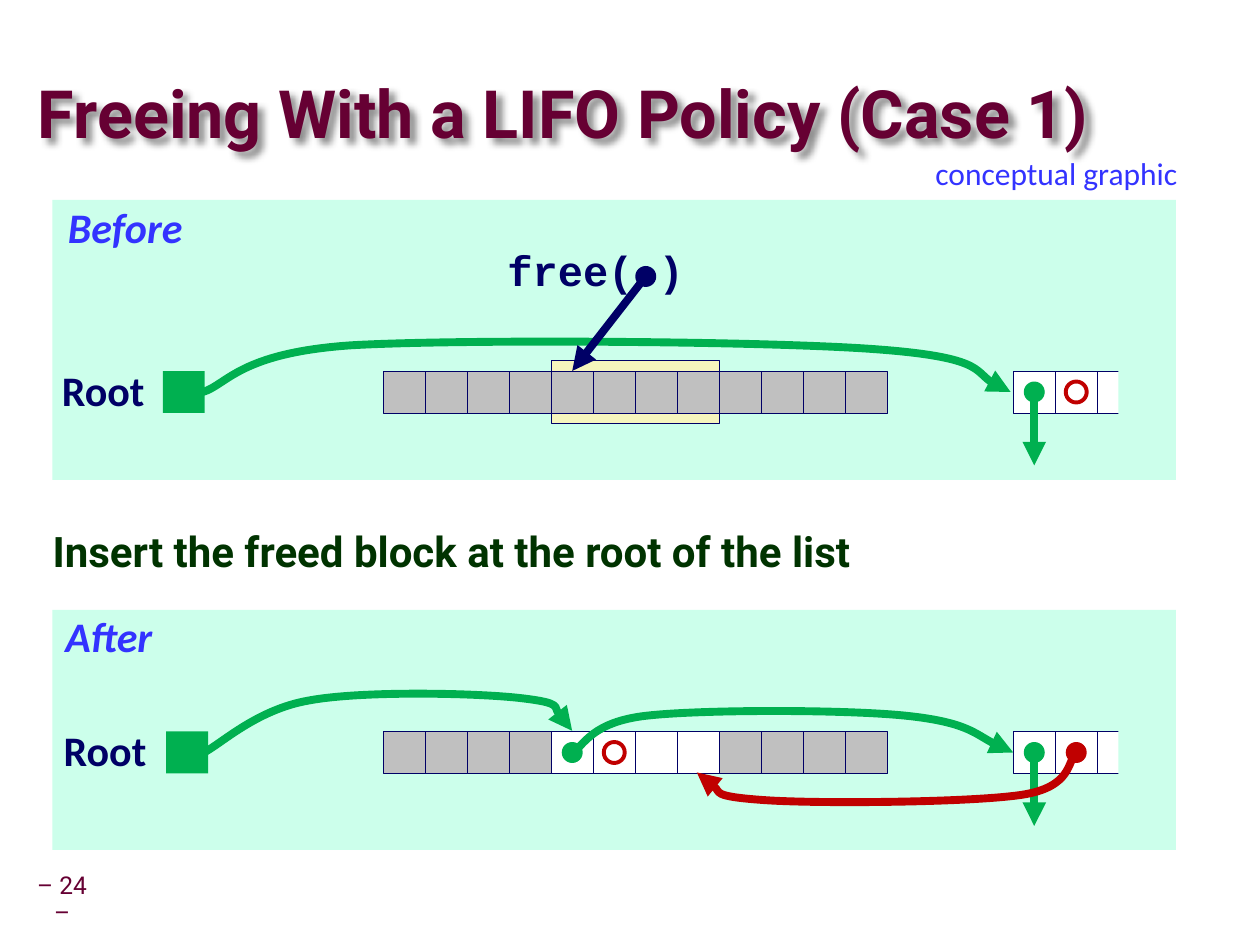
from dataclasses import dataclass
from typing import Optional

from lxml import etree
from pptx import Presentation
from pptx import util as u
from pptx.dml import color
from pptx.enum import shapes, text
from pptx.oxml import ns, parse_xml

Pt = u.Pt
KIND = shapes.MSO_SHAPE
CELL, DOT = 24, 12
HEAP_LEFT, HEAP_CELLS = 219, 12
FREED_CELLS = range(4, 8)
LIST_LEFT, LIST_CELLS = 579, 3


@dataclass(frozen=True)
class Theme:
    plum: str = "660033"
    forest: str = "003300"
    navy: str = "000066"
    blue: str = "3333FF"
    mint: str = "CCFFEB"
    cream: str = "F6F5BD"
    gray: str = "C0C0C0"
    white: str = "FFFFFF"
    green: str = "00B050"
    red: str = "C00000"
    heading: str = "Roboto"
    body: str = "Calibri"
    code: str = "Courier New"
    title_size: float = 38
    label_size: float = 24
    note_size: float = 18
    number_size: float = 14
    arrow_width: float = 4.5
    ring_width: float = 2.25
    cell_width: float = 0.25


@dataclass(frozen=True)
class Box:
    left: float
    top: float
    width: float
    height: float


@dataclass(frozen=True)
class Label:
    wording: str
    box: Box
    color: str
    size: float
    font: str
    bold: bool = True
    italic: bool = False
    align: text.PP_ALIGN = text.PP_ALIGN.CENTER
    anchor: text.MSO_ANCHOR = text.MSO_ANCHOR.TOP
    wrap: bool = False
    inset: float = 3.6
    spacing: float = 0.9


@dataclass(frozen=True)
class Stage:
    panel: Box
    row_top: float
    root_left: float
    freed_fill: str


THEME = Theme()
BEFORE = Stage(Box(30, 114.3, 642, 160), 212, 93, THEME.gray)
AFTER = Stage(Box(30, 348.5, 642, 137.2), 418, 95, THEME.white)

OLD_ROOT_CURVE = [(116, 224), (130, 219.6), (137, 201.6), (201, 197.3),
                  (264, 193.7), (435.6, 195), (498, 199.4),
                  (561, 203.8), (561, 219), (577.5, 224)]
NEW_ROOT_CURVE = [(116.6, 430), (126.7, 424.8), (146.9, 405.4), (176.4, 400.3),
                  (206.6, 394.6), (272.2, 396), (297.4, 398.9),
                  (322.6, 401.8), (321, 413.3), (327, 417.6)]
NEXT_CURVE = [(327, 430), (334, 426.2), (337.7, 412.6), (369.4, 409),
              (401, 405.4), (483, 405.4), (517.7, 409),
              (552.2, 412.6), (566, 425.5), (579, 430)]
PREVIOUS_CURVE = [(615, 430.6), (609.8, 434.2), (613.4, 450), (583.2, 454.3),
                  (553.7, 458.6), (467.3, 459.4), (436.3, 457.2),
                  (405.4, 455), (406, 445), (398.2, 441.4)]

LABELS = [
    Label("Root", Box(31.7, 208, 54.7, 34), THEME.navy, THEME.label_size, THEME.body),
    Label("Root", Box(32.7, 413.5, 54.7, 34), THEME.navy, THEME.label_size, THEME.body),
    Label("Before", Box(34.5, 115, 74, 34), THEME.blue, THEME.label_size, THEME.body, italic=True),
    Label("After", Box(33, 348.5, 58.3, 34), THEME.blue, THEME.label_size, THEME.body, italic=True),
    Label("conceptual graphic", Box(525.6, 87, 156.2, 29), THEME.blue,
          THEME.note_size, THEME.body, bold=False),
    Label("Insert the freed block at the root of the list", Box(23, 299, 654.5, 44),
          THEME.forest, THEME.label_size, THEME.heading, align=text.PP_ALIGN.LEFT,
          wrap=True, inset=7.2, spacing=0.95),
    Label("– 24 –", Box(16, 497, 39, 34.6), THEME.plum, THEME.number_size, THEME.heading,
          bold=False, anchor=text.MSO_ANCHOR.MIDDLE, wrap=True),
]
FREE_CALL = Label("free( )", Box(286, 139.7, 108.7, 34), THEME.navy, THEME.label_size, THEME.code)
TITLE = Label("Freeing With a LIFO Policy (Case 1)", Box(21.6, 36, 686.2, 62), THEME.plum,
              THEME.title_size, THEME.heading, align=text.PP_ALIGN.LEFT,
              anchor=text.MSO_ANCHOR.MIDDLE, wrap=True, inset=0, spacing=0.87)


def write(holder, label: Label) -> None:
    frame = holder.text_frame
    frame.text = label.wording
    frame.word_wrap = label.wrap
    frame.auto_size = text.MSO_AUTO_SIZE.NONE
    frame.vertical_anchor = label.anchor
    frame.margin_left = frame.margin_right = Pt(label.inset)
    frame.margin_top = frame.margin_bottom = Pt(min(label.inset, 3.6))
    paragraph = frame.paragraphs[0]
    paragraph.alignment = label.align
    paragraph.line_spacing = label.spacing
    paragraph.space_before = Pt(0)
    font = paragraph.runs[0].font
    font.name, font.size = label.font, Pt(label.size)
    font.bold, font.italic = label.bold, label.italic
    font.color.rgb = color.RGBColor.from_string(label.color)


def edges(box: Box) -> tuple:
    return Pt(box.left), Pt(box.top), Pt(box.width), Pt(box.height)


def draw_label(slide, label: Label) -> None:
    write(slide.shapes.add_textbox(*edges(label.box)), label)


def draw_title(slide) -> None:
    title = slide.shapes.title
    title.left, title.top, title.width, title.height = edges(TITLE.box)
    write(title, TITLE)
    title._element.spPr.append(parse_xml(
        f'<a:effectLst {ns.nsdecls("a")}><a:outerShdw blurRad="{Pt(4)}" dist="{Pt(4)}" '
        'dir="2700000" algn="tl"><a:srgbClr val="000000"><a:alpha val="43000"/>'
        '</a:srgbClr></a:outerShdw></a:effectLst>'))


def draw_shape(slide, kind: KIND, box: Box, fill: Optional[str] = None,
               line: Optional[str] = None, width: float = THEME.cell_width) -> None:
    shape = slide.shapes.add_shape(kind, *edges(box))
    shape.shadow.inherit = False
    if fill:
        shape.fill.solid()
        shape.fill.fore_color.rgb = color.RGBColor.from_string(fill)
    else:
        shape.fill.background()
    if line:
        shape.line.color.rgb = color.RGBColor.from_string(line)
        shape.line.width = Pt(width)
    else:
        shape.line.fill.background()


def draw_dot(slide, x: float, y: float, fill: str) -> None:
    draw_shape(slide, KIND.OVAL, Box(x - DOT / 2, y - DOT / 2, DOT, DOT), fill)


def draw_ring(slide, x: float, y: float) -> None:
    draw_shape(slide, KIND.OVAL, Box(x - DOT / 2, y - DOT / 2, DOT, DOT),
               line=THEME.red, width=THEME.ring_width)


def point_arrow(arrow, ink: str) -> None:
    arrow.line.color.rgb = color.RGBColor.from_string(ink)
    arrow.line.width = Pt(THEME.arrow_width)
    etree.SubElement(arrow.line._get_or_add_ln(), ns.qn("a:tailEnd"), type="triangle")


def draw_arrow(slide, start: tuple, end: tuple, ink: str) -> None:
    arrow = slide.shapes.add_connector(shapes.MSO_CONNECTOR.STRAIGHT,
                                       *(Pt(length) for length in start + end))
    point_arrow(arrow, ink)
    etree.SubElement(arrow._element.spPr, ns.qn("a:effectLst"))


def draw_curve(slide, points: list, ink: str) -> None:
    start, *rest = [(Pt(x), Pt(y)) for x, y in points]
    builder = slide.shapes.build_freeform(*start)
    builder.add_line_segments(rest, close=False)
    arrow = builder.convert_to_shape()
    arrow.shadow.inherit = False
    arrow.fill.background()
    point_arrow(arrow, ink)
    outline = arrow._element.xpath(".//a:path")[0]
    segments = outline.findall(ns.qn("a:lnTo"))
    for first in range(0, len(segments), 3):
        bend = etree.SubElement(outline, ns.qn("a:cubicBezTo"))
        for segment in segments[first:first + 3]:
            bend.append(segment[0])
            outline.remove(segment)


def draw_cells(slide, left: float, top: float, fills: list) -> None:
    for index, fill in enumerate(fills):
        draw_shape(slide, KIND.RECTANGLE, Box(left + index * CELL, top, CELL, CELL),
                   fill, THEME.navy)


def draw_stage(slide, stage: Stage) -> None:
    middle = stage.row_top + CELL / 2
    heap = [stage.freed_fill if index in FREED_CELLS else THEME.gray
            for index in range(HEAP_CELLS)]
    draw_cells(slide, HEAP_LEFT, stage.row_top, heap)
    draw_shape(slide, KIND.RECTANGLE, Box(stage.root_left, stage.row_top, CELL, CELL), THEME.green)
    draw_cells(slide, LIST_LEFT, stage.row_top, [THEME.white] * LIST_CELLS)
    draw_shape(slide, KIND.RECTANGLE,
               Box(LIST_LEFT + 2.5 * CELL, stage.row_top - 6, CELL, CELL + 12), THEME.mint)
    next_x = LIST_LEFT + CELL / 2
    draw_dot(slide, next_x, middle, THEME.green)
    draw_arrow(slide, (next_x, middle), (next_x, middle + 42), THEME.green)


def main() -> None:
    deck = Presentation()
    deck.slide_width, deck.slide_height = Pt(720), Pt(540)
    slide = deck.slides.add_slide(deck.slide_layouts[5])
    draw_title(slide)
    for stage in (BEFORE, AFTER):
        draw_shape(slide, KIND.RECTANGLE, stage.panel, THEME.mint)
    freed_left = HEAP_LEFT + FREED_CELLS[0] * CELL
    draw_shape(slide, KIND.RECTANGLE,
               Box(freed_left, BEFORE.row_top - 6, len(FREED_CELLS) * CELL, CELL + 12),
               THEME.cream, THEME.navy, 0.75)
    draw_curve(slide, OLD_ROOT_CURVE, THEME.green)
    for stage in (BEFORE, AFTER):
        draw_stage(slide, stage)

    previous_x = LIST_LEFT + 1.5 * CELL
    draw_ring(slide, previous_x, BEFORE.row_top + CELL / 2)
    draw_label(slide, FREE_CALL)
    draw_dot(slide, 369, 158, THEME.navy)
    draw_arrow(slide, (369, 158), (327, 212), THEME.navy)

    after_middle = AFTER.row_top + CELL / 2
    draw_dot(slide, freed_left + CELL / 2, after_middle, THEME.green)
    draw_ring(slide, freed_left + 1.5 * CELL, after_middle)
    draw_dot(slide, previous_x, after_middle, THEME.red)
    draw_curve(slide, NEXT_CURVE, THEME.green)
    draw_curve(slide, PREVIOUS_CURVE, THEME.red)
    draw_curve(slide, NEW_ROOT_CURVE, THEME.green)
    for label in LABELS:
        draw_label(slide, label)
    deck.save("out.pptx")


if __name__ == "__main__":
    main()
